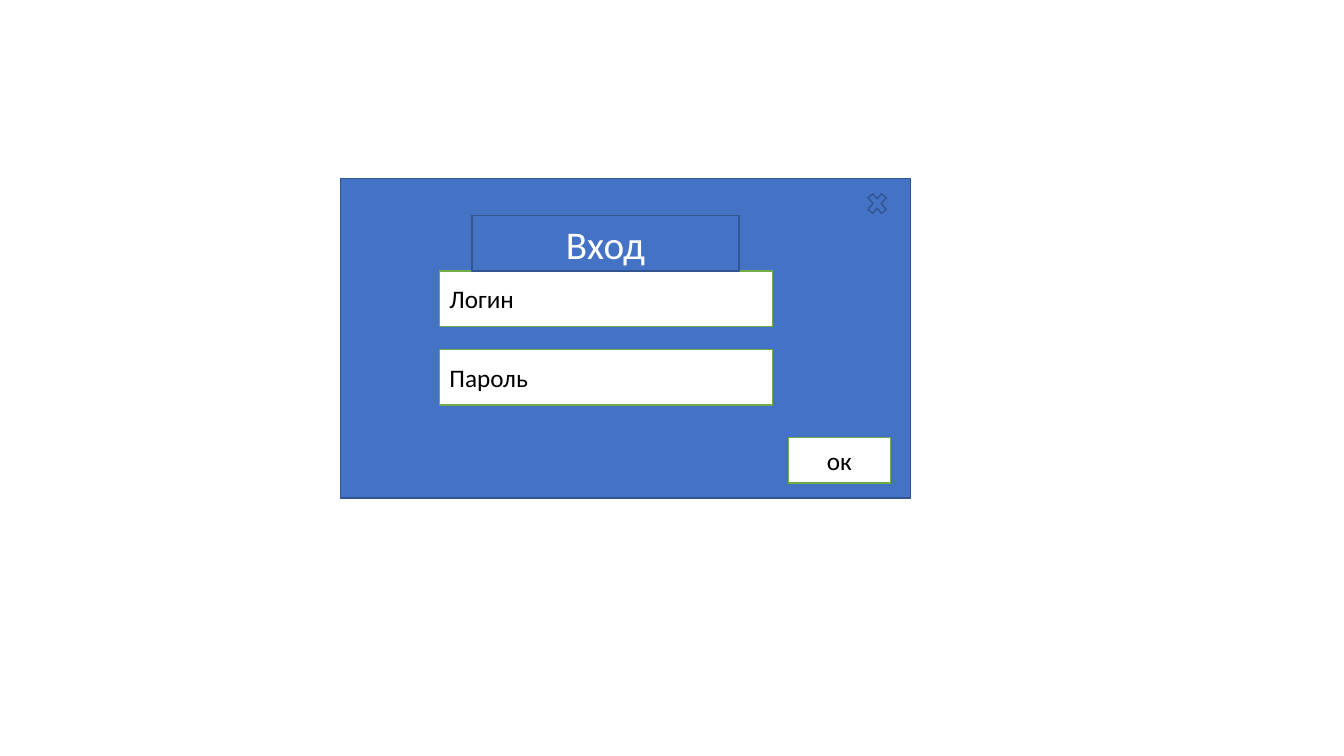
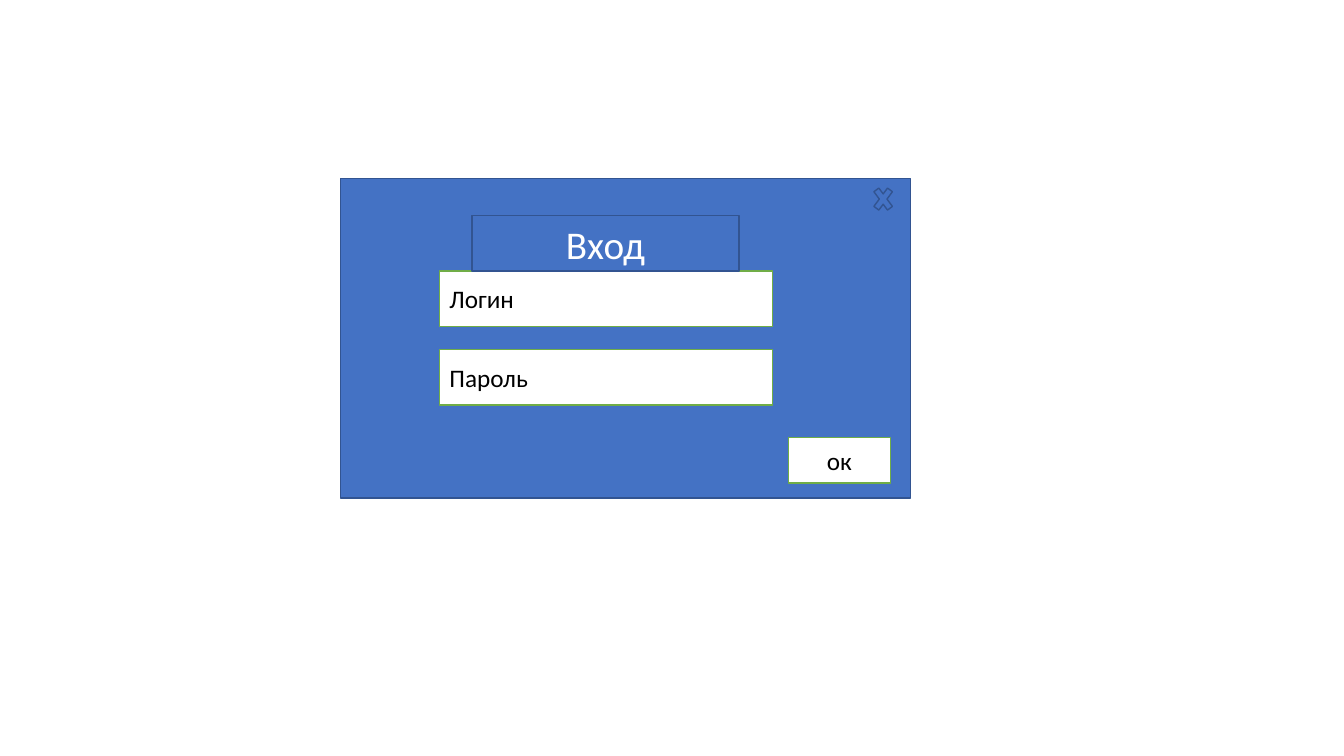
from pptx import Presentation
from pptx.dml.color import RGBColor
from pptx.enum import shapes, text
from pptx.util import Inches, Pt

BLUE, NAVY, GREEN = "4472C4", "325491", "70AD47"
WHITE, BLACK = "FFFFFF", "000000"
FONT = "Calibri"
KIND = shapes.MSO_SHAPE
LEFT, CENTER = text.PP_ALIGN.LEFT, text.PP_ALIGN.CENTER


def color(code):
    return RGBColor.from_string(code)


def paint(shape, fill, line):
    shape.fill.solid()
    shape.fill.fore_color.rgb = color(fill)
    shape.line.color.rgb = color(line)
    shape.line.width = Pt(1)


def write(shape, words, size, ink, align):
    frame = shape.text_frame
    frame.word_wrap = True
    frame.auto_size = text.MSO_AUTO_SIZE.NONE
    frame.vertical_anchor = text.MSO_ANCHOR.MIDDLE
    para = frame.paragraphs[0]
    para.alignment = align
    run = para.add_run()
    run.text = words
    run.font.name = FONT
    run.font.size = Pt(size)
    run.font.color.rgb = color(ink)


def add_box(slide, box, fill=BLUE, line=NAVY, kind=KIND.RECTANGLE):
    shape = slide.shapes.add_shape(kind, *map(Inches, box))
    shape.shadow.inherit = False
    paint(shape, fill, line)
    return shape


def add_field(slide, box, words, align=LEFT):
    """Add a white control with a green edge, such as an input or a button."""
    field = add_box(slide, box, WHITE, GREEN)
    write(field, words, 18, BLACK, align)
    return field


def set_title(slide, box, words, below):
    """Place the title just above the shape `below` in the stacking order."""
    title = slide.shapes.title
    title.left, title.top, title.width, title.height = map(Inches, box)
    paint(title, BLUE, NAVY)
    write(title, words, 28, WHITE, CENTER)
    below.element.addnext(title.element)


def add_login(deck, cross):
    """Add a slide with the login window; `cross` is the box of its close mark."""
    slide = deck.slides.add_slide(deck.slide_layouts[5])
    add_box(slide, (3.38, 1.77, 5.65, 3.17))
    for row, words in enumerate(("Логин", "Пароль")):
        field = add_field(slide, (4.36, 2.69 + row * 0.78, 3.3, 0.55), words)
    set_title(slide, (4.68, 2.14, 2.65, 0.55), "Вход", field)
    add_field(slide, (7.82, 4.34, 1.01, 0.45), "ок", CENTER)
    add_box(slide, cross, kind=KIND.MATH_MULTIPLY)


def main():
    deck = Presentation()
    deck.slide_width, deck.slide_height = Inches(13.33), Inches(7.5)
    for cross in ((8.57, 1.87, 0.26, 0.3), (8.63, 1.8, 0.26, 0.35)):
        add_login(deck, cross)
    deck.save("out.pptx")


if __name__ == "__main__":
    main()
